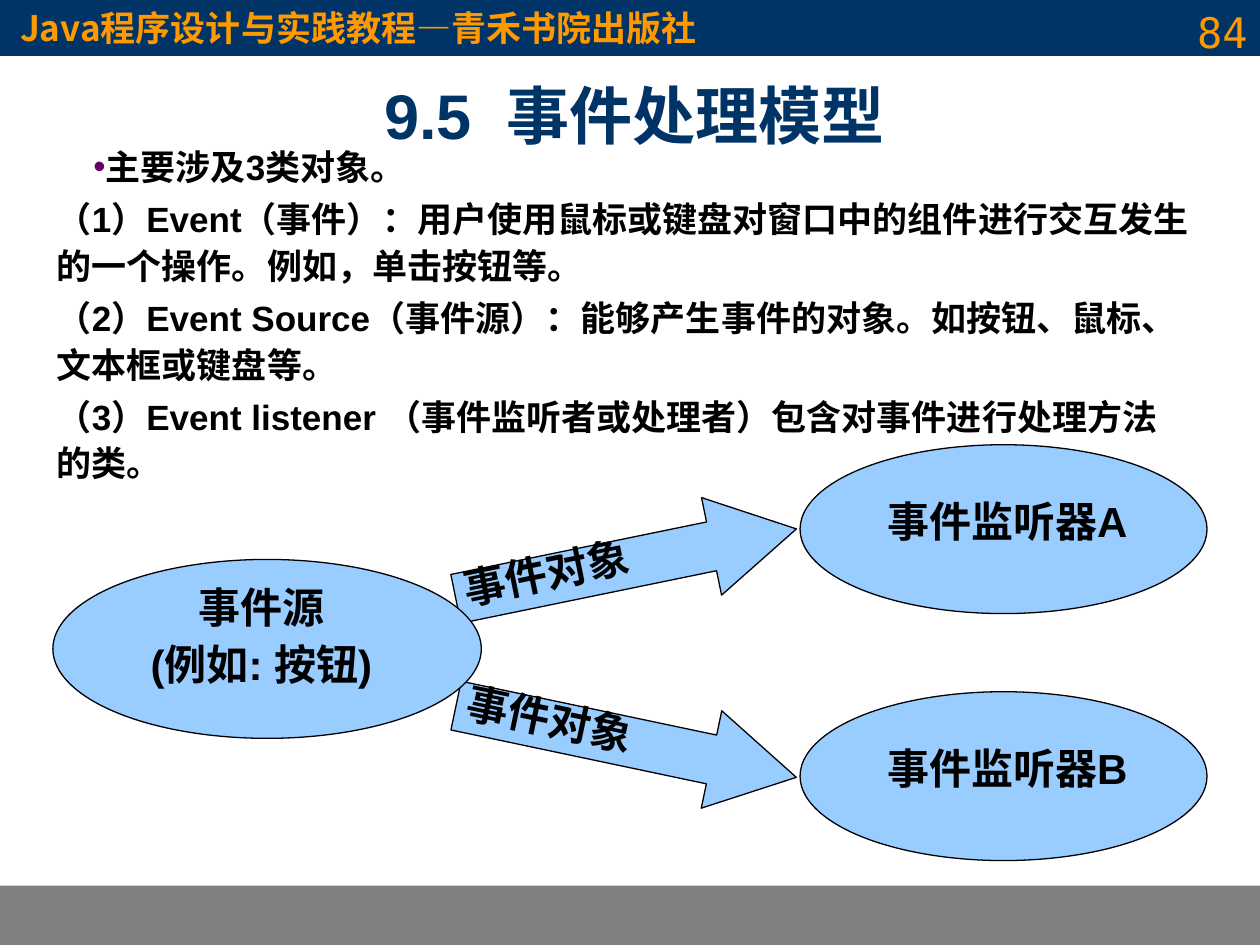
from lxml import etree
from pptx import Presentation, util as u
from pptx.dml.color import RGBColor
from pptx.enum import shapes, text
from pptx.oxml import ns

COLUMNS, ROWS = 100, 75
CELL = u.Inches(0.1)
NAVY, ORANGE, SKY, GRAY = "003366", "FF9900", "99CCFF", "808080"
BLACK, PURPLE = "000000", "660066"
CJK = "Noto Sans CJK SC"
ALIGN = text.PP_ALIGN
ANCHOR = text.MSO_ANCHOR


def color(value):
    return RGBColor.from_string(value)


def grid(*cells):
    return [round(cell * CELL) for cell in cells]


def move(shape, *cells):
    shape.left, shape.top, shape.width, shape.height = grid(*cells)


def add_child(parent, tag, **attributes):
    return etree.SubElement(parent, ns.qn(tag), attributes)


def write(para, content, size=24, font="Arial", ink=BLACK, bold=True,
          align=ALIGN.LEFT, spacing=None, before=0):
    para.alignment = align
    para.space_before = u.Pt(before)
    if spacing:
        para.line_spacing = spacing
    span = para.add_run()
    span.text = content
    span.font.size = u.Pt(size)
    span.font.name = font
    span.font.bold = bold
    span.font.color.rgb = color(ink)
    add_child(span.font._element, "a:ea", typeface=CJK)


def write_lines(frame, lines, before=0, **style):
    for index, line in enumerate(lines):
        para = frame.add_paragraph() if index else frame.paragraphs[0]
        write(para, line, before=before if index else 0, **style)


def set_frame(frame, anchor=ANCHOR.TOP, wrap=True, inset=(0, 0)):
    frame.auto_size = text.MSO_AUTO_SIZE.NONE
    frame.vertical_anchor = anchor
    frame.word_wrap = wrap
    frame.margin_left = frame.margin_right = u.Inches(inset[0])
    frame.margin_top = frame.margin_bottom = u.Inches(inset[1])


def set_bullet(para, indent=0, char=None):
    properties = para._p.get_or_add_pPr()
    properties.set("marL", "0")
    properties.set("indent", str(u.Inches(indent)))
    if char is None:
        add_child(properties, "a:buNone")
        return
    add_child(add_child(properties, "a:buClr"), "a:srgbClr", val=PURPLE)
    add_child(properties, "a:buSzPct", val="100000")
    add_child(properties, "a:buFont", typeface="Arial")
    add_child(properties, "a:buChar", char=char)


def add_figure(page, kind, cells, fill, line=None, rotation=0):
    figure = page.shapes.add_shape(kind, *grid(*cells))
    figure.shadow.inherit = False
    figure.rotation = rotation
    figure.fill.solid()
    figure.fill.fore_color.rgb = color(fill)
    if line:
        figure.line.color.rgb = color(line)
        figure.line.width = u.Pt(0.75)
    else:
        figure.line.fill.background()
    return figure


def add_label(page, cells, lines, wrap=False, inset=(0, 0), rotation=0, **style):
    box = page.shapes.add_textbox(*grid(*cells))
    box.rotation = rotation
    set_frame(box.text_frame, wrap=wrap, inset=inset)
    write_lines(box.text_frame, lines, **style)


def add_bars(page):
    rectangle = shapes.MSO_SHAPE.RECTANGLE
    add_figure(page, rectangle, (0, 70.3, COLUMNS, 4.7), GRAY)
    header = add_figure(page, rectangle, (0, 0, COLUMNS, 4.4), NAVY, NAVY)
    set_frame(header.text_frame, ANCHOR.MIDDLE, inset=(0.16, 0.05))
    write_lines(header.text_frame, ["Java程序设计与实践教程—青禾书院出版社"],
                size=20, font=CJK, ink=ORANGE)
    add_label(page, (76.7, 0, 23.3, 5.2), ["84"], wrap=True, inset=(0.1, 0.05),
              font="DejaVu Sans Mono", ink=ORANGE, bold=False, align=ALIGN.RIGHT)


def fill_title(title):
    move(title, 5.7, 5.8, 89.3, 6.5)
    set_frame(title.text_frame, ANCHOR.MIDDLE)
    write_lines(title.text_frame, ["9.5  事件处理模型"], size=36, ink=NAVY,
                align=ALIGN.CENTER)


def fill_body(body):
    move(body, 3.5, 10.7, 92.1, 28.2)
    set_frame(body.text_frame, ANCHOR.MIDDLE, inset=(0.1, 0.05))
    write_lines(body.text_frame, [
        "主要涉及3类对象。",
        "（1）Event（事件）：用户使用鼠标或键盘对窗口中的组件进行交互发生的一个操作。例如，单击按钮等。",
        "（2）Event Source（事件源）：能够产生事件的对象。如按钮、鼠标、文本框或键盘等。",
        "（3）Event listener （事件监听者或处理者）包含对事件进行处理方法的类。",
    ], size=20, spacing=1.1, before=3.7)
    first, *others = body.text_frame.paragraphs
    set_bullet(first, indent=0.29, char="•")
    for para in others:
        set_bullet(para)


def add_listener(page, top, name):
    add_figure(page, shapes.MSO_SHAPE.OVAL, (63.5, top, 32.3, 13.4), SKY, BLACK)
    add_label(page, (70, top + 4, 19.9, 4), [name], align=ALIGN.CENTER)


def add_event(page, top, angle, label_left, label_top):
    arrow = add_figure(page, shapes.MSO_SHAPE.RIGHT_ARROW,
                       (35.9, top, 27.6, 7.9), SKY, BLACK, angle)
    arrow.adjustments[0] = 0.5
    arrow.adjustments[1] = 0.87
    add_label(page, (label_left, label_top, 13.3, 4), ["事件对象"], rotation=angle)


def add_source(page):
    add_figure(page, shapes.MSO_SHAPE.OVAL, (4.2, 44.4, 34, 14.2), SKY, BLACK)
    add_label(page, (5.6, 47.6, 30.3, 6.9), ["事件源", "(例如: 按钮)"], wrap=True,
              align=ALIGN.CENTER, spacing=0.6, before=15)


def main():
    deck = Presentation()
    deck.slide_width, deck.slide_height = grid(COLUMNS, ROWS)
    page = deck.slides.add_slide(deck.slide_layouts[1])
    add_bars(page)
    fill_title(page.shapes.title)
    fill_body(page.placeholders[1])
    for top, name in ((54.9, "事件监听器B"), (35.3, "事件监听器A")):
        add_listener(page, top, name)
    add_event(page, 40.8, -11.6, 36.7, 43.4)
    add_event(page, 54.9, 11.9, 37, 55)
    add_source(page)
    deck.save("out.pptx")


if __name__ == "__main__":
    main()
